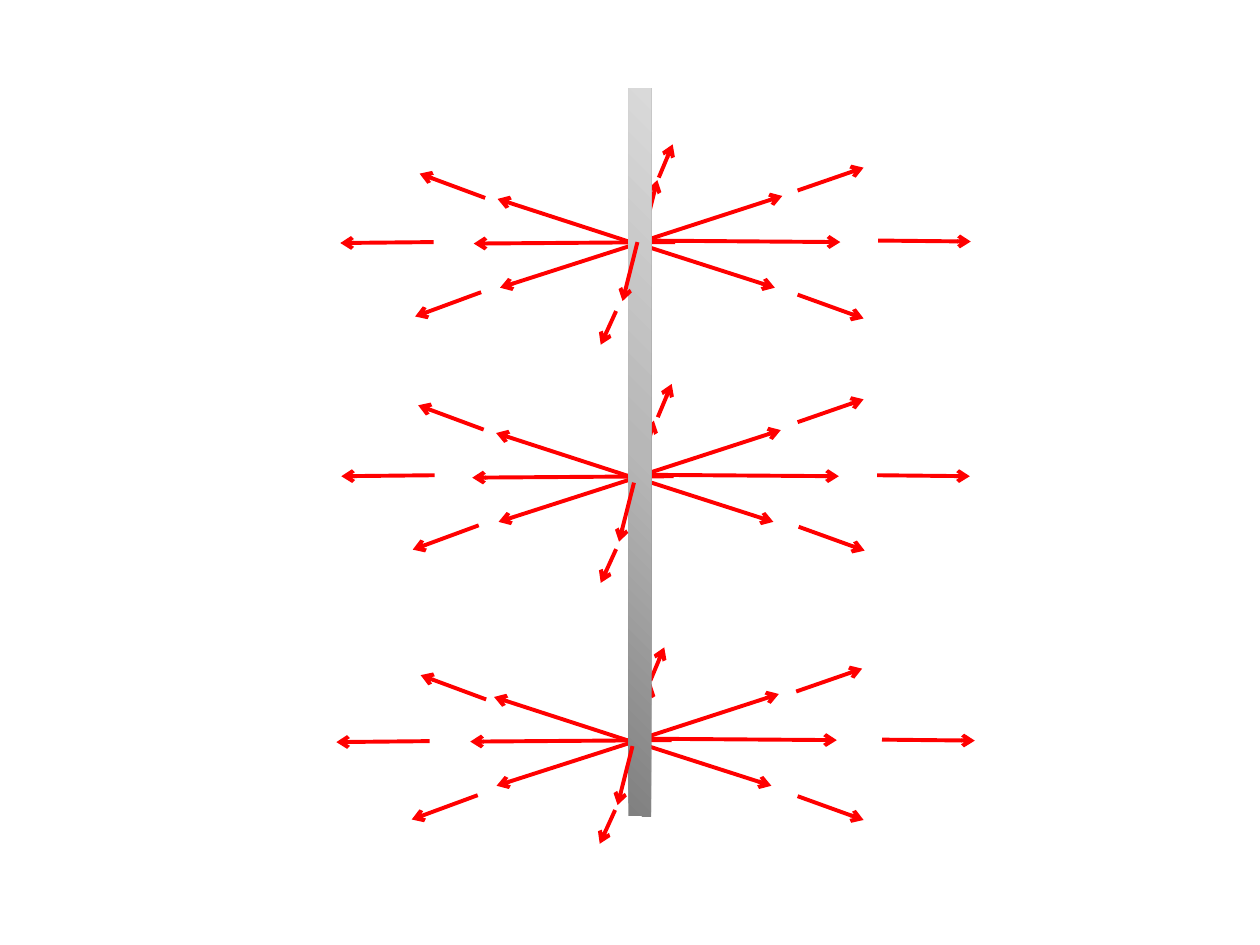
from copy import deepcopy

from lxml.etree import SubElement
from pptx import Presentation
from pptx.dml.color import RGBColor
from pptx.enum.shapes import MSO_CONNECTOR, MSO_SHAPE
from pptx.oxml.ns import qn
from pptx.util import Cm, Pt

RED = RGBColor(0xFF, 0x00, 0x00)
DARK_GREY = RGBColor(0x80, 0x80, 0x80)
MID_GREY = RGBColor(0xB7, 0xB7, 0xB7)
LIGHT_GREY = RGBColor(0xD9, 0xD9, 0xD9)

# Where the field lines leave the rod, one point per level (cm)
CENTRES = [(12.85, 4.88), (12.82, 9.6), (12.78, 14.92)]

# Inner arrows: start and end relative to the centre of the level
INNER = [
    ((0, 0.03), (2.77, 0.92)),
    ((0.15, -0.03), (2.92, -0.93)),
    ((-0.05, 0.03), (-2.82, -0.87)),
    ((0, 0.03), (-2.77, 0.92)),
    ((0.03, -0.03), (4.09, 0)),
    ((0.76, 0), (-3.3, 0.03)),
]

# Other arrows: a shared vector, then the start point on each level
OUTER = [
    ((1.87, 0.02), [(17.7, 4.85), (17.68, 9.58), (17.78, 14.91)]),
    ((-1.88, 0.02), [(8.74, 4.88), (8.76, 9.58), (8.66, 14.94)]),
    ((1.33, -0.46), [(16.08, 3.84), (16.08, 8.51), (16.05, 13.94)]),
    ((-1.32, -0.49), [(9.78, 3.99), (9.75, 8.66), (9.8, 14.1)]),
    ((1.33, 0.48), [(16.08, 5.94), (16.1, 10.62), (16.08, 16.05)]),
    ((-1.33, 0.49), [(9.7, 5.89), (9.65, 10.59), (9.63, 16.03)]),
]
BACK = [
    ((0.3, -1.2), [(12.95, 4.83), (12.88, 9.68), (12.83, 14.99)]),
    ((0.28, -0.67), [(13.28, 3.58), (13.26, 8.41), (13.11, 13.72)]),
]
FRONT = [
    ((-0.3, 1.19), [(12.85, 4.88), (12.78, 9.73), (12.75, 15.04)]),
    ((-0.31, 0.68), [(12.42, 6.27), (12.42, 11.07), (12.4, 16.33)]),
]


class FieldDiagram:
    """Draws the rod and its field arrows in one group on a slide."""

    def __init__(self, s, color=RED, width=Pt(2.25)):
        self.shapes = s.shapes.add_group_shape().shapes
        self.color = color
        self.width = width

    def arrow(self, start, vector):
        (x, y), (dx, dy) = start, vector
        c = self.shapes.add_connector(
            MSO_CONNECTOR.STRAIGHT, Cm(x), Cm(y), Cm(x + dx), Cm(y + dy))
        c.line.color.rgb = self.color
        c.line.width = self.width
        SubElement(c.line._get_or_add_ln(), qn("a:tailEnd"), type="arrow")
        SubElement(c._element.spPr, qn("a:effectLst"))

    def arrows(self, families):
        for vector, starts in families:
            for start in starts:
                self.arrow(start, vector)

    def star(self, centre):
        cx, cy = centre
        for (x1, y1), (x2, y2) in INNER:
            self.arrow((cx + x1, cy + y1), (x2 - x1, y2 - y1))

    def rod(self, x, y, w, h, colors):
        sp = self.shapes.add_shape(
            MSO_SHAPE.RECTANGLE, Cm(x), Cm(y), Cm(w), Cm(h))
        sp.shadow.inherit = False
        sp.line.fill.background()
        sp.fill.gradient()
        sp.fill.gradient_angle = 45
        # The default gradient has two stops; add one in the middle
        first = sp._element.spPr.find(".//" + qn("a:gs"))
        first.addnext(deepcopy(first))
        for i, (stop, color) in enumerate(zip(sp.fill.gradient_stops, colors)):
            stop.position = i / (len(colors) - 1)
            stop.color.rgb = color


def main():
    prs = Presentation()
    prs.slide_width, prs.slide_height = Cm(25.4), Cm(19.05)
    s = prs.slides.add_slide(prs.slide_layouts[6])
    diagram = FieldDiagram(s)

    # Arrows behind the rod
    diagram.arrows(BACK)
    for centre in CENTRES:
        diagram.star(centre)
    diagram.arrows(OUTER)

    # Rod, then the arrows that point towards the viewer
    diagram.rod(12.67, 1.78, 0.46, 14.68, [DARK_GREY, MID_GREY, LIGHT_GREY])
    diagram.arrows(FRONT)

    prs.save("out.pptx")


if __name__ == "__main__":
    main()
